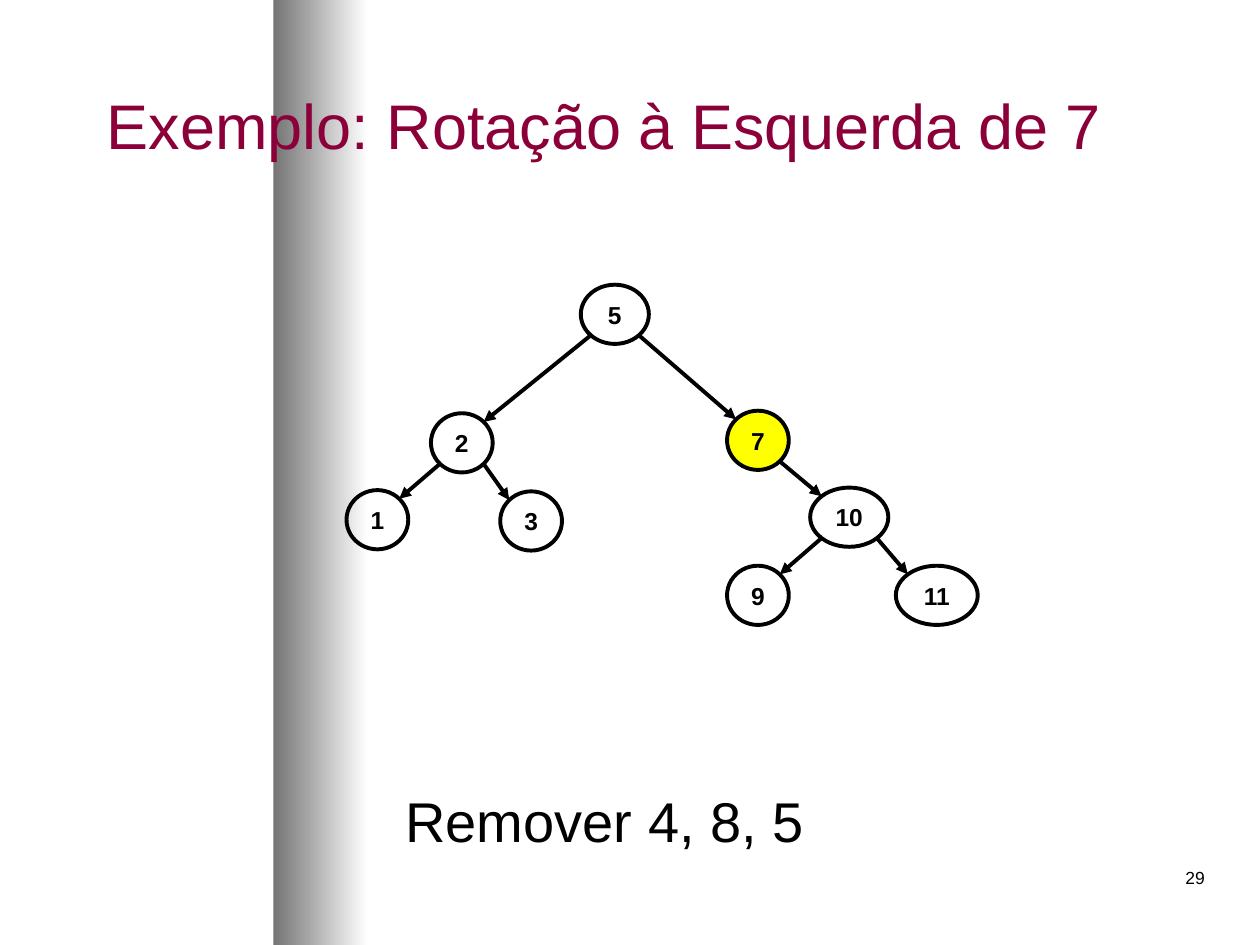
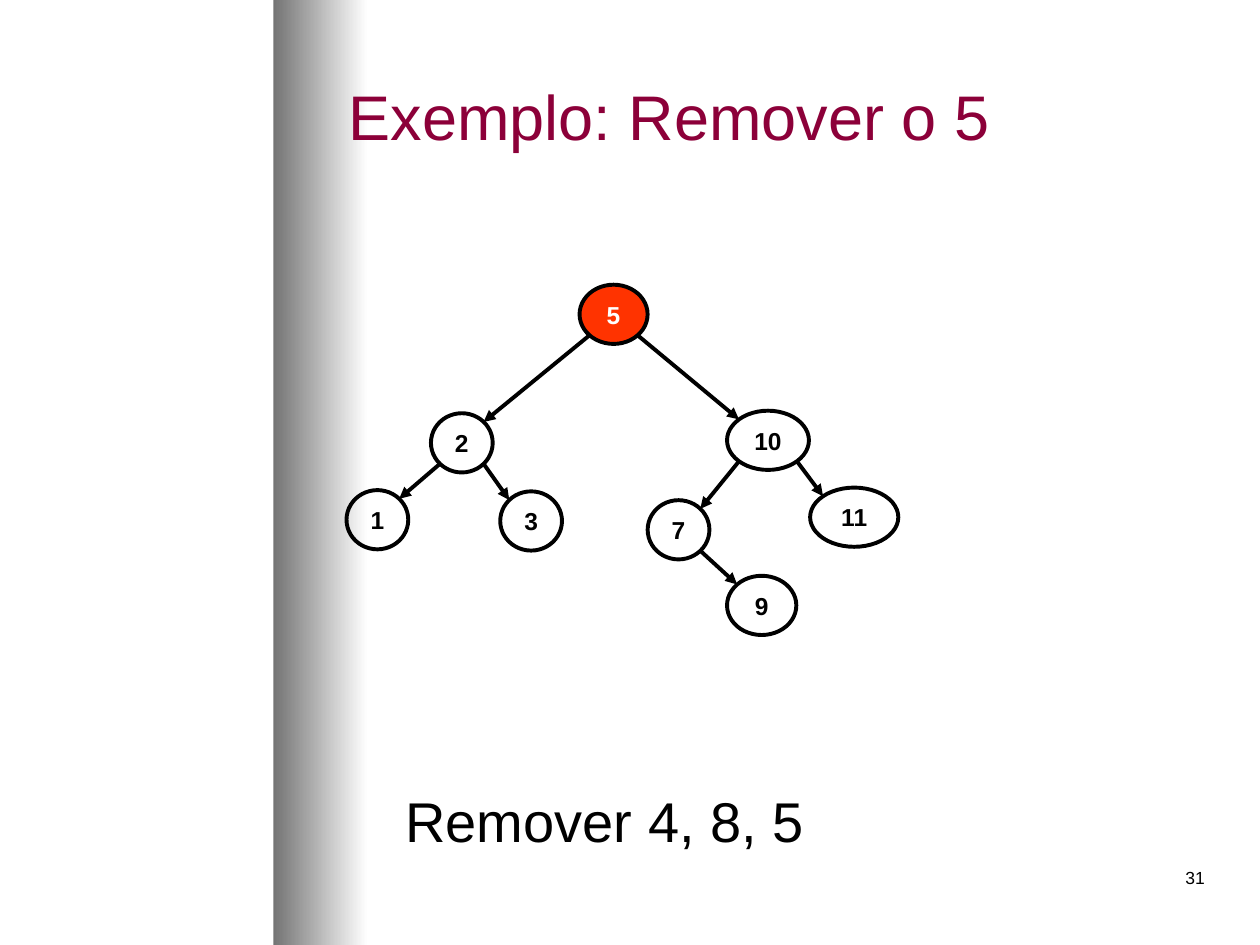
from dataclasses import dataclass
from math import sqrt
from typing import Optional

import pptx
import pptx.util
import pptx.dml.color
import pptx.enum.shapes
import pptx.enum.text
import pptx.oxml
import pptx.oxml.ns

Inches = pptx.util.Inches
Pt = pptx.util.Pt
RGBColor = pptx.dml.color.RGBColor
Align = pptx.enum.text.PP_ALIGN
Anchor = pptx.enum.text.MSO_ANCHOR
Kind = pptx.enum.shapes.MSO_SHAPE
Slide = pptx.slide.Slide

BLACK = RGBColor(0x00, 0x00, 0x00)
WHITE = RGBColor(0xFF, 0xFF, 0xFF)
GRAY = RGBColor(0x74, 0x74, 0x74)
WINE = RGBColor(0x8C, 0x00, 0x39)
YELLOW = RGBColor(0xFF, 0xFF, 0x00)
RED = RGBColor(0xFF, 0x33, 0x00)

FONT = "Arial"
STROKE = Pt(2.25)
HEIGHT = 0.47
CAPTION = "Remover 4, 8, 5"


@dataclass(frozen=True)
class Node:
    key: str
    left: float
    top: float
    width: float = 0.49
    fill: Optional[RGBColor] = None
    ink: RGBColor = BLACK

    def corner(self, side: int, down: int) -> tuple[float, float]:
        x = self.left + self.width / 2 * (1 + side / sqrt(2))
        y = self.top + HEIGHT / 2 * (1 + down / sqrt(2))
        return x, y


@dataclass(frozen=True)
class Page:
    title: str
    box: tuple[float, float, float, float]
    number: str
    nodes: list[Node]
    edges: list[tuple[str, str]]


LEFT = [
    Node("2", 3.42, 3.28, fill=WHITE),
    Node("1", 2.75, 3.89),
    Node("3", 3.97, 3.9),
]
TOP = [("5", "2"), ("2", "1"), ("2", "3")]

PAGES = [
    Page(
        "Exemplo: Rotação à Esquerda de 7", (0.75, 0.36, 8.98, 1.25), "29",
        LEFT + [
            Node("5", 4.61, 2.26, 0.54),
            Node("7", 5.77, 3.26, fill=YELLOW),
            Node("10", 6.43, 3.87, 0.62),
            Node("9", 5.77, 4.49),
            Node("11", 7.11, 4.49, 0.65),
        ],
        TOP + [("5", "7"), ("7", "10"), ("10", "9"), ("10", "11")],
    ),
    Page(
        "Exemplo: Remover o 5", (2.67, 0.25, 7, 1.33), "31",
        LEFT + [
            Node("5", 4.6, 2.26, 0.54, RED, WHITE),
            Node("10", 5.77, 3.26, 0.65),
            Node("11", 6.43, 3.87, 0.7),
            Node("7", 5.14, 3.97),
            Node("9", 5.77, 4.57, 0.55),
        ],
        TOP + [("5", "10"), ("10", "7"), ("10", "11"), ("7", "9")],
    ),
]


def write(frame: pptx.text.text.TextFrame, text: str, *, size: float,
          ink: RGBColor = BLACK, bold: bool = False, wrap: bool = True,
          align: Align = Align.LEFT, anchor: Anchor = Anchor.TOP) -> None:
    frame.word_wrap = wrap
    frame.vertical_anchor = anchor
    line = frame.paragraphs[0]
    line.alignment = align
    run = line.add_run()
    run.text = text
    run.font.name = FONT
    run.font.size = Pt(size)
    run.font.bold = bold
    run.font.color.rgb = ink


def add_text(slide: Slide, text: str, box: tuple[float, float, float, float],
             **style) -> None:
    shape = slide.shapes.add_textbox(*map(Inches, box))
    write(shape.text_frame, text, **style)


def add_band(slide: Slide) -> None:
    band = slide.shapes.add_shape(
        Kind.RECTANGLE, Inches(2.17), Inches(0), Inches(0.75), Inches(7.5))
    band.shadow.inherit = False
    band.line.fill.background()
    band.fill.gradient()
    band.fill.gradient_angle = 0
    for stop, color, place in zip(band.fill.gradient_stops, (GRAY, WHITE), (0, 1)):
        stop.color.rgb = color
        stop.position = place


def add_node(slide: Slide, node: Node) -> None:
    oval = slide.shapes.add_shape(
        Kind.OVAL, Inches(node.left), Inches(node.top),
        Inches(node.width), Inches(HEIGHT))
    oval.shadow.inherit = False
    if node.fill is None:
        oval.fill.background()
    else:
        oval.fill.solid()
        oval.fill.fore_color.rgb = node.fill
    oval.line.color.rgb = BLACK
    oval.line.width = STROKE
    write(oval.text_frame, node.key, size=14, ink=node.ink, bold=True,
          wrap=False, align=Align.CENTER, anchor=Anchor.MIDDLE)


def add_edge(slide: Slide, parent: Node, child: Node) -> None:
    side = 1 if child.left > parent.left else -1
    ends = parent.corner(side, 1) + child.corner(-side, -1)
    edge = slide.shapes.add_connector(
        pptx.enum.shapes.MSO_CONNECTOR.STRAIGHT, *map(Inches, ends))
    edge.line.color.rgb = BLACK
    edge.line.width = STROKE
    tag = pptx.oxml.ns.nsdecls("a")
    head = pptx.oxml.parse_xml(f'<a:tailEnd {tag} type="triangle"/>')
    edge.line._get_or_add_ln().append(head)
    edge._element.spPr.append(pptx.oxml.parse_xml(f"<a:effectLst {tag}/>"))


def add_page(deck: pptx.presentation.Presentation, page: Page) -> None:
    slide = deck.slides.add_slide(deck.slide_layouts[6])
    add_band(slide)
    add_text(slide, page.number, (7.58, 6.83, 2.08, 0.5), size=10, align=Align.RIGHT)
    add_text(slide, page.title, page.box, size=36, ink=WINE, anchor=Anchor.MIDDLE)
    for node in page.nodes:
        add_node(slide, node)
    tree = {node.key: node for node in page.nodes}
    for parent, child in page.edges:
        add_edge(slide, tree[parent], tree[child])
    add_text(slide, CAPTION, (2.4, 6.19, 4.8, 0.64), size=32, align=Align.CENTER)


def main() -> None:
    deck = pptx.Presentation()
    deck.slide_width = Inches(10)
    deck.slide_height = Inches(7.5)
    for page in PAGES:
        add_page(deck, page)
    deck.save("out.pptx")


if __name__ == "__main__":
    main()
